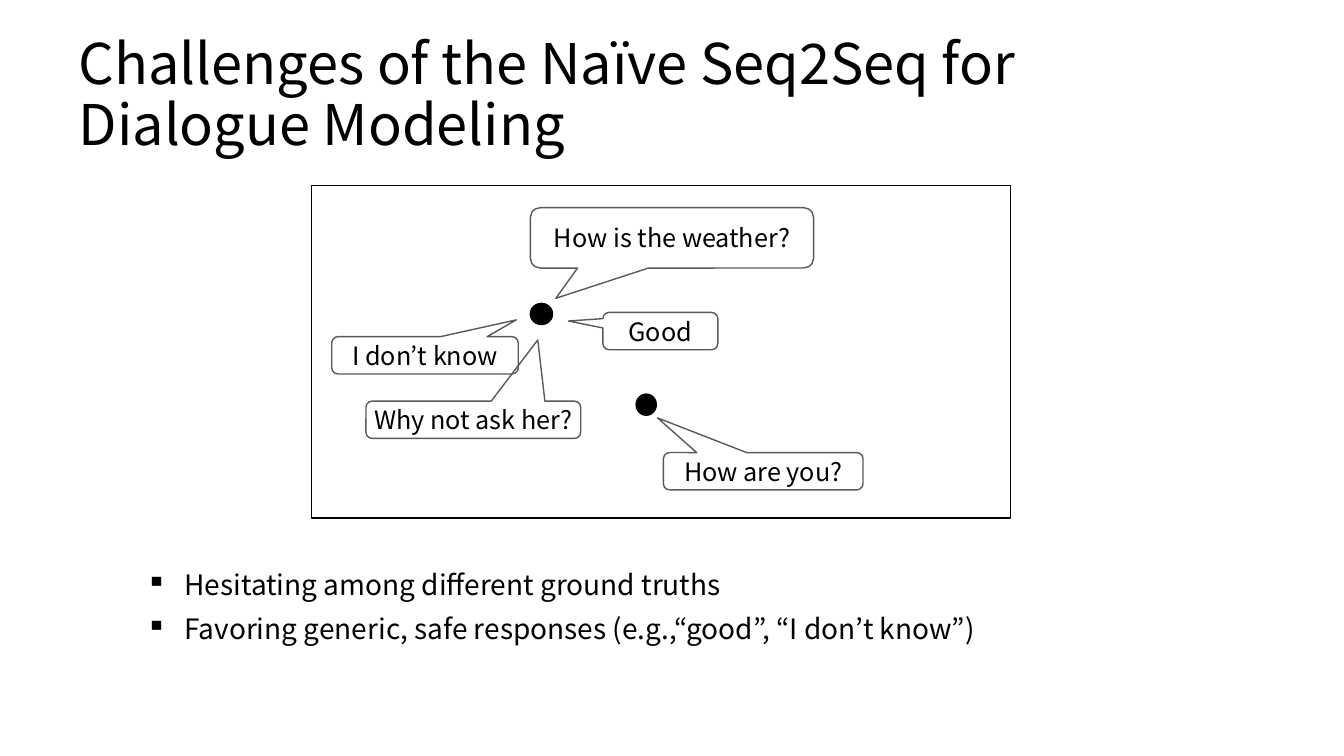
"""Build the slide on the challenges of naïve Seq2Seq dialogue modeling."""
from dataclasses import dataclass

import pptx
import pptx.dml.color
import pptx.enum.shapes
import pptx.enum.text
import pptx.oxml
import pptx.oxml.ns
import pptx.util
from pptx.util import Inches


@dataclass(frozen=True)
class Theme:
    font: str = "Noto Sans CJK KR"
    ink: str = "000000"
    bubble_line: str = "595959"
    title_size: int = 40
    point_size: int = 20
    speech_size: int = 18


theme = Theme()
Shapes = pptx.enum.shapes.MSO_SHAPE
Align = pptx.enum.text.PP_ALIGN
Anchor = pptx.enum.text.MSO_ANCHOR


def style_text(paragraph, size, align):
    paragraph.alignment = align
    for run in paragraph.runs:
        run.font.name = theme.font
        run.font.size = pptx.util.Pt(size)
        run.font.color.rgb = pptx.dml.color.RGBColor.from_string(theme.ink)


def add_outline(preset, box, line, fill=None):
    outline = slide.shapes.add_shape(preset, *map(Inches, box))
    outline.shadow.inherit = False
    if fill:
        outline.fill.solid()
        outline.fill.fore_color.rgb = pptx.dml.color.RGBColor.from_string(fill)
    else:
        outline.fill.background()
    outline.line.color.rgb = pptx.dml.color.RGBColor.from_string(line)
    outline.line.width = pptx.util.Pt(1)
    return outline


deck = pptx.Presentation()
deck.slide_width, deck.slide_height = Inches(13.33), Inches(7.5)
slide = deck.slides.add_slide(deck.slide_layouts.get_by_name("Title Only"))

title = slide.shapes.title
title.left, title.top, title.width, title.height = map(Inches, (0.68, 0.37, 10.17, 1.18))
title.text_frame.text = "Challenges of the Naïve Seq2Seq for Dialogue Modeling"
title.text_frame.word_wrap = True
title.text_frame.auto_size = pptx.enum.text.MSO_AUTO_SIZE.NONE
title.text_frame.vertical_anchor = Anchor.MIDDLE
title.text_frame.paragraphs[0].line_spacing = 0.9
style_text(title.text_frame.paragraphs[0], theme.title_size, Align.LEFT)

add_outline(Shapes.RECTANGLE, (3.09, 1.84, 6.93, 3.3), theme.ink)
for dot in ((5.26, 3.01, 0.22, 0.21), (6.31, 3.91, 0.2, 0.21)):
    add_outline(Shapes.OVAL, dot, theme.ink, theme.ink)

findings = slide.shapes.add_textbox(*map(Inches, (1.35, 5.62, 10.68, 0.85))).text_frame
findings.word_wrap = True
findings.text = (
    "Hesitating among different ground truths\n"
    "Favoring generic, safe responses (e.g.,“good”, “I don’t know”)"
)
for index, finding in enumerate(findings.paragraphs):
    finding.line_spacing = 0.9
    finding.space_before = pptx.util.Pt(10 if index else 0)
    properties = finding._p.get_or_add_pPr()
    properties.set("marL", str(Inches(0.38)))
    properties.set("indent", str(-Inches(0.38)))
    bullet = pptx.oxml.parse_xml(f'<a:buChar {pptx.oxml.ns.nsdecls("a")} char="▪"/>')
    properties.append(bullet)
    style_text(finding, theme.point_size, Align.LEFT)

speeches = (
    ("How is the weather?", (5.26, 2.06, 2.81, 0.6), (-0.41, 1)),
    ("How are you?", (6.58, 4.49, 1.98, 0.37), (-0.53, -1.43)),
    ("Good", (5.98, 3.1, 1.14, 0.37), (-0.8, -0.27)),
    ("I don’t know", (3.29, 3.34, 1.85, 0.37), (0.49, -0.95)),
    ("Why not ask her?", (3.63, 3.98, 2.13, 0.37), (0.3, -2.14)),
)
for speech, box, (tip_x, tip_y) in speeches:
    bubble = add_outline(Shapes.ROUNDED_RECTANGULAR_CALLOUT, box, theme.bubble_line)
    bubble.adjustments[0], bubble.adjustments[1] = tip_x, tip_y
    words = bubble.text_frame
    words.margin_left = words.margin_right = words.margin_top = words.margin_bottom = 0
    words.word_wrap = True
    words.vertical_anchor = Anchor.MIDDLE
    words.text = speech
    style_text(words.paragraphs[0], theme.speech_size, Align.CENTER)

deck.save("out.pptx")
